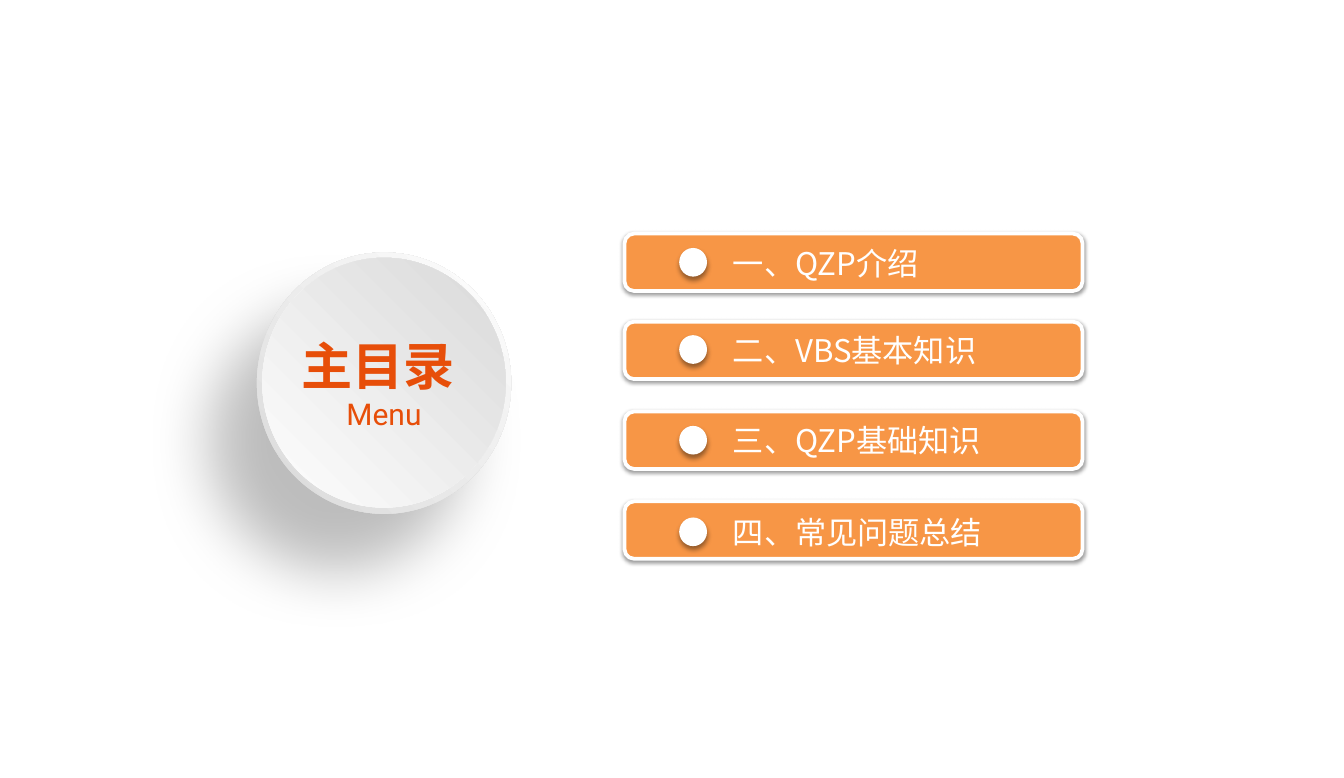
"""Build the main menu slide: a round title badge and four numbered entries."""
import pptx
import pptx.dml.color
import pptx.enum.shapes
import pptx.enum.text
import pptx.oxml
import pptx.oxml.ns
import pptx.util

Pt = pptx.util.Pt
RGB = pptx.dml.color.RGBColor.from_string
SHAPES = pptx.enum.shapes.MSO_SHAPE

theme = {
    "bar": "F79646", "white": "FFFFFF", "near_white": "FEFEFE",
    "grey": "D9D9D9", "title": "E74E09", "shadow": "000000",
    "latin_font": "Roboto", "chinese_font": "Noto Sans CJK SC",
    "title_size": 41, "subtitle_size": 24, "entry_size": 25,
}


def add_effect_shape(kind, left, top, width, height, colors, shadow=None):
    """Add a preset shape with a solid or radial fill and an optional shadow."""
    shape = slide.shapes.add_shape(kind, Pt(left), Pt(top), Pt(width), Pt(height))
    shape.shadow.inherit = False
    shape.line.fill.background()
    properties = shape.element.spPr
    namespace = pptx.oxml.ns.nsdecls("a")
    if len(colors) == 1:
        shape.fill.solid()
        shape.fill.fore_color.rgb = RGB(colors[0])
    else:
        shape.fill.background()
        gradient = pptx.oxml.parse_xml(
            f'<a:gradFill {namespace} rotWithShape="1"><a:gsLst>'
            f'<a:gs pos="0"><a:srgbClr val="{colors[0]}"/></a:gs>'
            f'<a:gs pos="100000"><a:srgbClr val="{colors[1]}"/></a:gs></a:gsLst>'
            '<a:path path="circle"><a:fillToRect l="100000" b="100000"/></a:path>'
            '</a:gradFill>')
        properties.replace(properties.find(pptx.oxml.ns.qn("a:noFill")), gradient)
    if shadow:
        opacity, blur, distance, angle = shadow
        effects = properties.find(pptx.oxml.ns.qn("a:effectLst"))
        effects.append(pptx.oxml.parse_xml(
            f'<a:outerShdw {namespace} blurRad="{Pt(blur)}" dist="{Pt(distance)}" '
            f'dir="{angle * 60000}" algn="ctr" rotWithShape="0">'
            f'<a:srgbClr val="{theme["shadow"]}"><a:alpha val="{opacity * 1000}"/>'
            '</a:srgbClr></a:outerShdw>'))
    return shape


def add_styled_run(paragraph, text, color, formats):
    """Add a run with the given colour, font formats and Chinese typeface."""
    run = paragraph.add_run()
    run.text = text
    for name, value in formats.items():
        setattr(run.font, name, value)
    run.font.color.rgb = RGB(color)
    run.font._element.append(pptx.oxml.parse_xml(
        f'<a:ea {pptx.oxml.ns.nsdecls("a")} typeface="{theme["chinese_font"]}"/>'))


presentation = pptx.Presentation()
presentation.slide_width = Pt(1077.12)
presentation.slide_height = Pt(623.52)
slide = presentation.slides.add_slide(presentation.slide_layouts[6])

add_effect_shape(SHAPES.OVAL, 205.9, 202.3, 203.8, 209.5,
                 (theme["white"], theme["grey"]), (25, 50, 60, 130))
badge = add_effect_shape(SHAPES.OVAL, 210.2, 206.6, 195.1, 200.2,
                         (theme["grey"], theme["near_white"]))
badge_format = {
    "margin_left": 0, "margin_right": 0,
    "vertical_anchor": pptx.enum.text.MSO_ANCHOR.MIDDLE, "word_wrap": True,
}
for name, value in badge_format.items():
    setattr(badge.text_frame, name, value)
paragraph = badge.text_frame.paragraphs[0]
paragraph.alignment = pptx.enum.text.PP_ALIGN.CENTER
add_styled_run(paragraph, "主目录 ", theme["title"], {
    "size": Pt(theme["title_size"]), "bold": True, "name": theme["latin_font"]})
paragraph.add_line_break()
add_styled_run(paragraph, "Menu", theme["title"], {
    "size": Pt(theme["subtitle_size"]), "bold": False, "name": theme["latin_font"]})

entries = [
    ("一、QZP介绍", 187.2, 198.7),
    ("二、VBS基本知识", 257.8, 268.6),
    ("三、QZP基础知识", 329.8, 341.3),
    ("四、常见问题总结", 401.8, 414.7),
]
for text, bar_top, dot_top in entries:
    bar = add_effect_shape(SHAPES.ROUNDED_RECTANGLE, 500.5, bar_top, 367, 46,
                           (theme["bar"],), (38, 3.1, 1.6, 90))
    bar.line.color.rgb = RGB(theme["white"])
    bar.line.width = Pt(3)
    add_effect_shape(SHAPES.OVAL, 544.3, dot_top, 22.3, 23,
                     (theme["white"],), (40, 4, 3, 90))
    label = slide.shapes.add_textbox(Pt(580.3), Pt(dot_top - 6.8), Pt(280), Pt(37.4))
    label.text_frame.word_wrap = True
    add_styled_run(label.text_frame.paragraphs[0], text, theme["white"], {
        "size": Pt(theme["entry_size"]), "name": theme["chinese_font"]})

presentation.save("out.pptx")
